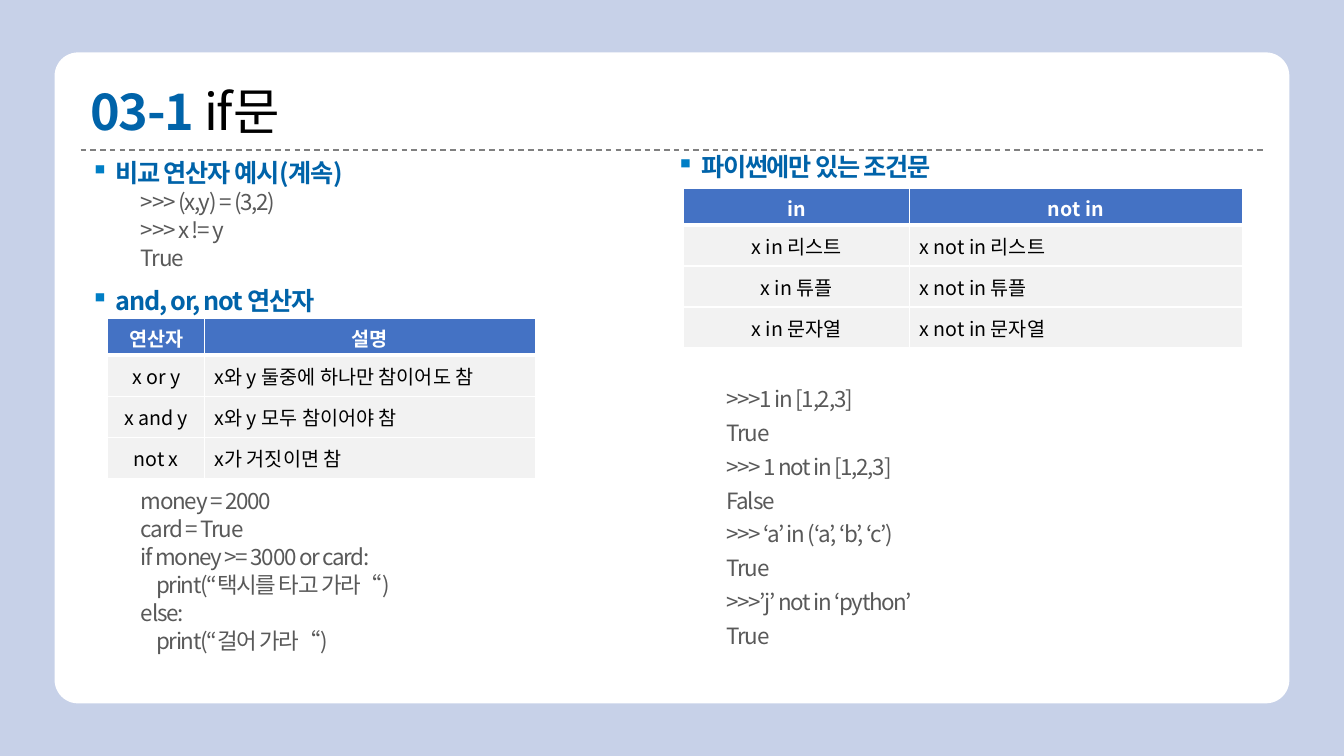
from dataclasses import dataclass

from lxml import etree
from pptx import Presentation
from pptx import util as u
from pptx.dml.color import RGBColor
from pptx.enum import dml, shapes, text
from pptx.oxml import ns


@dataclass(frozen=True)
class Theme:
    font: str = "Noto Sans CJK KR"
    background: str = "C7D1E8"
    white: str = "FFFFFF"
    black: str = "000000"
    rule: str = "808080"
    heading: str = "0063A9"
    bullet: str = "007EC5"
    code: str = "595959"
    header: str = "4472C4"
    body: str = "F2F2F2"
    title_size: int = 36
    heading_size: int = 18
    code_size: int = 16
    table_size: int = 14


class SlideBuilder:
    COLUMNS, ROWS = 160, 90

    def __init__(self, presentation, theme):
        self.theme = theme
        self.column = presentation.slide_width / self.COLUMNS
        self.row = presentation.slide_height / self.ROWS
        self.slide = presentation.slides.add_slide(presentation.slide_layouts[6])
        self.paint(self.slide.background.fill, theme.background)

    def place(self, left, top, width, height):
        return [int(left * self.column), int(top * self.row),
                int(width * self.column), int(height * self.row)]

    def apply(self, target, formats):
        for name, value in formats.items():
            setattr(target, name, value)

    def paint(self, fill, color):
        fill.solid()
        fill.fore_color.rgb = RGBColor.from_string(color)

    def child(self, parent, tag, **attributes):
        return etree.SubElement(parent, ns.qn(tag), attributes)

    def run(self, paragraph, content, size, color, bold=False, spacing=0):
        run = paragraph.add_run()
        run.text = content
        self.apply(run.font, {"name": self.theme.font, "size": u.Pt(size), "bold": bold})
        run.font.color.rgb = RGBColor.from_string(color)
        properties = run.font._element
        properties.set("spc", str(int(spacing * 100)))
        self.child(properties, "a:ea", typeface=self.theme.font)

    def panel(self, left, top, width, height, rounding):
        shape = self.slide.shapes.add_shape(
            shapes.MSO_SHAPE.ROUNDED_RECTANGLE, *self.place(left, top, width, height))
        shape.adjustments[0] = rounding
        shape.shadow.inherit = False
        self.paint(shape.fill, self.theme.white)
        shape.line.fill.background()

    def rule(self, left, top, right):
        x, y, end, _ = self.place(left, top, right, 0)
        line = self.slide.shapes.add_connector(shapes.MSO_CONNECTOR.STRAIGHT, x, y, end, y)
        self.apply(line.line, {"width": u.Pt(1), "dash_style": dml.MSO_LINE.DASH})
        line.line.color.rgb = RGBColor.from_string(self.theme.rule)
        self.child(line._element.spPr, "a:effectLst")

    def text_box(self, left, top, width, height, anchor=text.MSO_ANCHOR.TOP):
        frame = self.slide.shapes.add_textbox(*self.place(left, top, width, height)).text_frame
        self.apply(frame, {"word_wrap": True, "vertical_anchor": anchor,
                           "margin_top": 0, "margin_bottom": 0})
        return frame

    def title(self, number, name, *area):
        paragraph = self.text_box(*area, anchor=text.MSO_ANCHOR.BOTTOM).paragraphs[0]
        paragraph.line_spacing = 0.9
        self.run(paragraph, number, self.theme.title_size, self.theme.heading, True, -1)
        self.run(paragraph, name, self.theme.title_size, self.theme.black, False, -1)

    def paragraph(self, frame, before, leading):
        first = not frame.paragraphs[0].runs
        paragraph = frame.paragraphs[0] if first else frame.add_paragraph()
        self.apply(paragraph, {"space_before": u.Pt(0 if first else before),
                               "line_spacing": u.Pt(leading)})
        return paragraph

    def heading(self, frame, content, before=0):
        paragraph = self.paragraph(frame, before, 15)
        properties = paragraph._p.get_or_add_pPr()
        properties.set("marL", str(u.Inches(0.25)))
        properties.set("indent", str(-u.Inches(0.25)))
        color = self.child(properties, "a:buClr")
        self.child(color, "a:srgbClr", val=self.theme.bullet)
        self.child(properties, "a:buChar", char="▪")
        self.run(paragraph, content, self.theme.heading_size, self.theme.heading, True, -0.9)

    def code(self, frame, lines, leading=15):
        for line in lines:
            content = line.lstrip()
            paragraph = self.paragraph(frame, 5, leading)
            indent = 0.5 if content == line else 0.65
            paragraph._p.get_or_add_pPr().set("marL", str(u.Inches(indent)))
            self.run(paragraph, content, self.theme.code_size, self.theme.code, spacing=-0.9)

    def borders(self, cell, bottom):
        properties = cell._tc.get_or_add_tcPr()
        for side, width in {"L": 1, "R": 1, "T": 1, "B": bottom}.items():
            line = self.child(properties, f"a:ln{side}", w=str(u.Pt(width)))
            fill = self.child(line, "a:solidFill")
            self.child(fill, "a:srgbClr", val=self.theme.white)

    def table(self, left, top, widths, rows):
        heights = [4.4] + [4.88] * (len(rows) - 1)
        table = self.slide.shapes.add_table(
            len(rows), len(widths), *self.place(left, top, sum(widths), sum(heights))).table
        for column, width in zip(table.columns, widths):
            column.width = int(width * self.column)
        for row, height in zip(table.rows, heights):
            row.height = int(height * self.row)
        for i, row in enumerate(rows):
            header = i == 0
            for j, content in enumerate(row):
                cell = table.cell(i, j)
                cell.vertical_anchor = text.MSO_ANCHOR.MIDDLE
                self.borders(cell, 3 if header else 1)
                self.paint(cell.fill, self.theme.header if header else self.theme.body)
                paragraph = cell.text_frame.paragraphs[0]
                centered = header or j == 0
                paragraph.alignment = text.PP_ALIGN.CENTER if centered else text.PP_ALIGN.LEFT
                color = self.theme.white if header else self.theme.black
                self.run(paragraph, content, self.theme.table_size, color, header)


def main():
    presentation = Presentation()
    presentation.slide_width = u.Inches(13.33)
    presentation.slide_height = u.Inches(7.5)
    builder = SlideBuilder(presentation, Theme())
    left, middle, width = 9.6, 79.3, 70

    builder.panel(6.5, 6.24, 147, 77.5, 0.036)
    builder.rule(left, 17.88, 150.4)
    builder.title("03-1 ", "if문", left, 8.76, 140.8, 8.04)

    comparison = builder.text_box(left, 19.8, width, 18)
    builder.heading(comparison, "비교 연산자 예시(계속)")
    builder.code(comparison, [">>> (x,y) = (3,2)", ">>> x != y", "True"])
    builder.heading(comparison, "and, or, not 연산자", before=17)
    builder.table(12.84, 37.9, [11.52, 39.36], [
        ("연산자", "설명"),
        ("x or y", "x와 y 둘중에 하나만 참이어도 참"),
        ("x and y", "x와 y 모두 참이어야 참"),
        ("not x", "x가 거짓이면 참"),
    ])
    taxi = builder.text_box(left, 58.7, width, 20)
    builder.code(taxi, [
        "money = 2000", "card = True", "if money >= 3000 or card:",
        "\tprint(“택시를 타고 가라“)", "else:", "\tprint(“걸어 가라“)",
    ])

    builder.heading(builder.text_box(middle, 19.08, width, 3), "파이썬에만 있는 조건문")
    kinds = ["리스트", "튜플", "문자열"]
    builder.table(81.4, 22.4, [26.88, 39.6], [("in", "not in")] + [
        (f"x in {kind}", f"x not in {kind}") for kind in kinds])
    membership = builder.text_box(middle, 45.84, width, 33)
    builder.code(membership, [
        ">>>1 in [1,2,3]", "True", ">>> 1 not in [1,2,3]", "False",
        ">>> ‘a’ in (‘a’, ‘b’, ‘c’)", "True", ">>>’j’ not in ‘python’", "True",
    ], leading=19.2)

    presentation.save("out.pptx")


if __name__ == "__main__":
    main()
